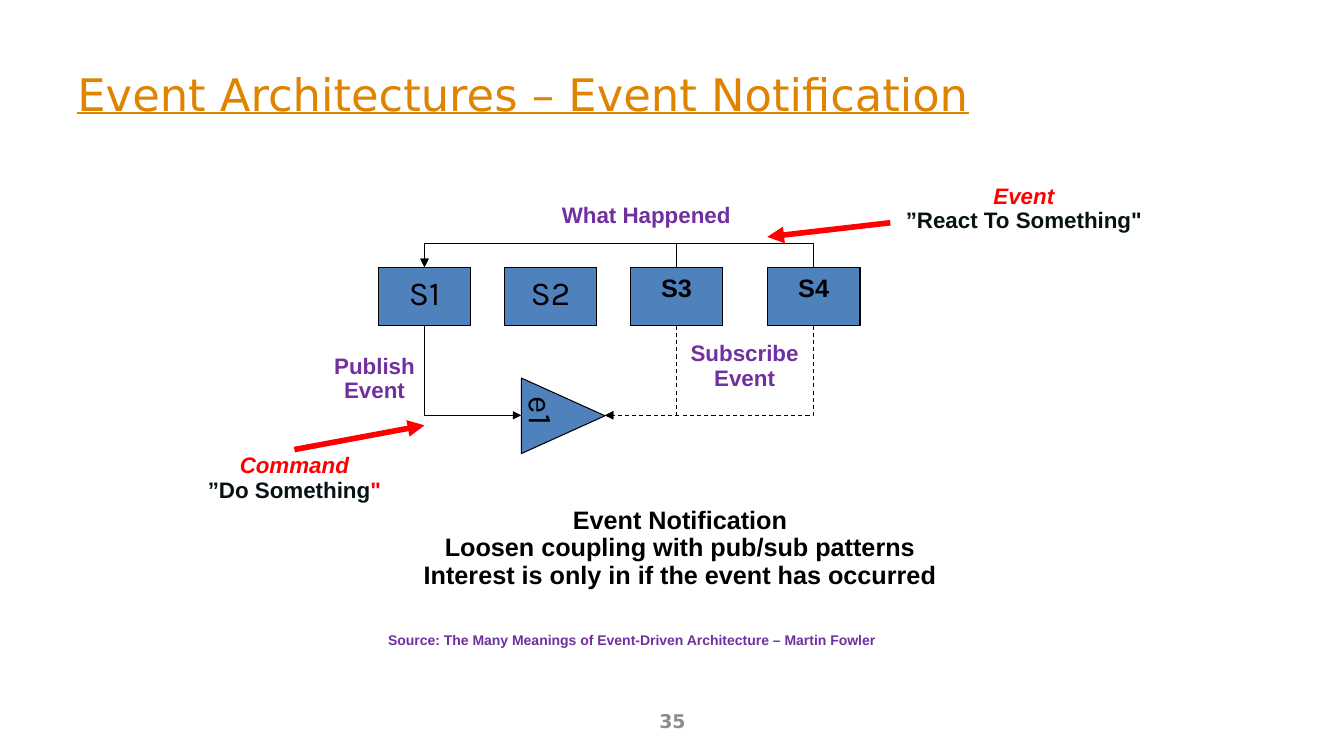
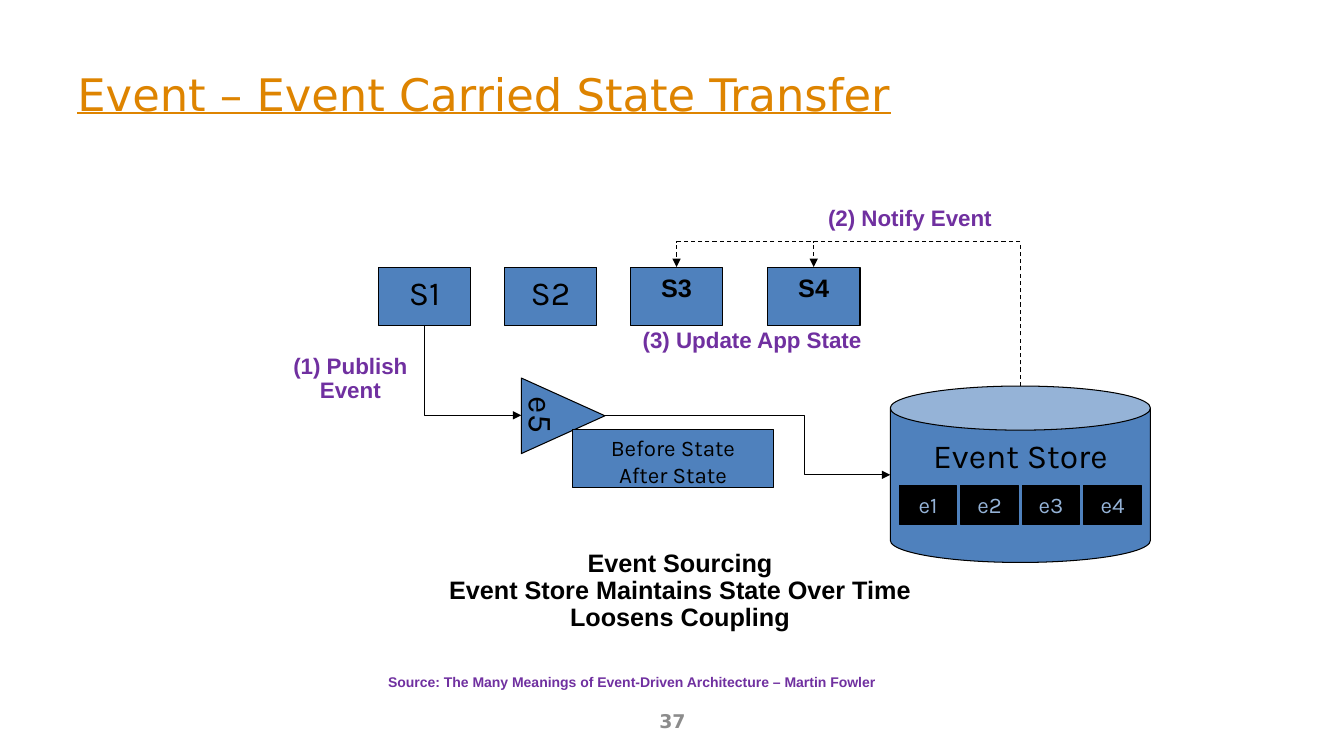
import pptx
import pptx.dml.color
import pptx.enum.dml
import pptx.enum.shapes
import pptx.enum.text
import pptx.oxml
import pptx.oxml.ns
import pptx.util

Inches = pptx.util.Inches
Pt = pptx.util.Pt
RGBColor = pptx.dml.color.RGBColor
Shape = pptx.enum.shapes.MSO_SHAPE
Connector = pptx.enum.shapes.MSO_CONNECTOR
Align = pptx.enum.text.PP_ALIGN
Anchor = pptx.enum.text.MSO_ANCHOR
qn = pptx.oxml.ns.qn

ORANGE = RGBColor(0xDE, 0x84, 0x00)
BLUE = RGBColor(0x4F, 0x81, 0xBD)
PALE_BLUE = RGBColor(0x95, 0xB3, 0xD7)
PURPLE = RGBColor(0x70, 0x30, 0xA0)
RED = RGBColor(0xFF, 0x00, 0x00)
INK = RGBColor(0x07, 0x12, 0x15)
BLACK = RGBColor(0x00, 0x00, 0x00)
GRAY = RGBColor(0x8C, 0x8C, 0x8C)

# Font formats
TITLE = {"name": "DejaVu Sans", "size": Pt(32), "underline": True}
PAGE = {"name": "DejaVu Sans", "size": Pt(13.5), "bold": True}
NODE = {"name": "Karla", "size": Pt(24)}
SMALL_NODE = {"name": "Karla", "size": Pt(16)}
STRONG = {"name": "Arial", "size": Pt(18), "bold": True}
LABEL = {"name": "Arial", "size": Pt(16), "bold": True}
ACCENT = {**LABEL, "italic": True}
CREDIT = {"name": "Arial", "size": Pt(10), "bold": True}

# Diagram positions in inches
SERVICES = {"S1": (3.75, NODE), "S2": (5, NODE),
            "S3": (6.25, STRONG), "S4": (7.61, STRONG)}
SERVICE_WIDTH, SERVICE_HEIGHT, SERVICE_TOP = 0.92, 0.58, 2.65
SERVICE_BOTTOM = SERVICE_TOP + SERVICE_HEIGHT
CENTER = {name: left + SERVICE_WIDTH / 2 for name, (left, _) in SERVICES.items()}
EVENT_LEFT, EVENT_RIGHT, EVENT_Y = 5.17, 6, 4.12

# Elbow routes: preset, rotation in degrees, flip
ROUTES = {
    "down right": ("bentConnector2", 270, "flipH"),
    "down left": ("bentConnector2", 90, None),
    "up over": ("bentConnector3", 270, "flipV"),
    "across": ("bentConnector3", 0, None),
}


def write(frame, lines, align=Align.CENTER, spacing=None):
    """Fill a frame; each line is a list of (text, format, colour) runs."""
    for index, line in enumerate(lines):
        paragraph = frame.paragraphs[0] if index == 0 else frame.add_paragraph()
        paragraph.alignment = align
        paragraph.line_spacing = spacing
        for text, font_format, color in line:
            run = paragraph.add_run()
            run.text = text
            for attribute, value in font_format.items():
                setattr(run.font, attribute, value)
            run.font.color.rgb = color


def add_text(slide, at, lines, align=Align.CENTER, spacing=0.9,
             wrap=False, anchor=Anchor.TOP):
    frame = slide.shapes.add_textbox(*map(Inches, at)).text_frame
    frame.word_wrap = wrap
    frame.vertical_anchor = anchor
    write(frame, lines, align, spacing)


def add_label(slide, at, *texts, font_format=LABEL, color=PURPLE):
    add_text(slide, at, [[(text, font_format, color)] for text in texts])


def add_node(slide, preset, at, *texts, font_format=NODE, color=BLACK, fill=BLUE):
    node = slide.shapes.add_shape(preset, *map(Inches, at))
    node.shadow.inherit = False
    node.fill.solid()
    node.fill.fore_color.rgb = fill
    node.line.color.rgb = BLACK
    node.line.width = Pt(0.75)
    node.text_frame.word_wrap = False
    node.text_frame.vertical_anchor = Anchor.TOP
    write(node.text_frame, [[(text, font_format, color)] for text in texts])
    return node


def add_event(slide, name):
    event = add_node(slide, Shape.ISOSCELES_TRIANGLE, (5.21, 3.71, 0.75, 0.83), name)
    event.rotation = 90
    frame = event.text_frame
    frame.vertical_anchor = Anchor.MIDDLE
    frame.paragraphs[0].alignment = Align.LEFT
    for side in ("left", "top", "right", "bottom"):
        setattr(frame, f"margin_{side}", 0)


def add_arrow(slide, kind, start, end, color=BLACK, width=0.75, dashed=False):
    arrow = slide.shapes.add_connector(kind, *map(Inches, (*start, *end)))
    arrow.line.color.rgb = color
    arrow.line.width = Pt(width)
    if dashed:
        arrow.line.dash_style = pptx.enum.dml.MSO_LINE.DASH
    properties = arrow.element.spPr
    tip = pptx.oxml.parse_xml(
        f'<a:tailEnd {pptx.oxml.ns.nsdecls("a")} type="triangle"/>')
    properties.find(qn("a:ln")).append(tip)
    properties.append(pptx.oxml.parse_xml(
        f'<a:effectLst {pptx.oxml.ns.nsdecls("a")}/>'))
    return arrow


def add_elbow(slide, route, start, end, bend=None, dashed=False):
    """Draw an elbow arrow; bend is the fraction of the way to its turn."""
    preset, rotation, flip = ROUTES[route]
    width, height = abs(end[0] - start[0]), abs(end[1] - start[1])
    if rotation:
        width, height = height, width
    left = (start[0] + end[0] - width) / 2
    top = (start[1] + end[1] - height) / 2
    elbow = add_arrow(slide, Connector.ELBOW, (left, top),
                      (left + width, top + height), dashed=dashed)
    frame = elbow.element.spPr.xfrm
    frame.set("rot", str(rotation * 60000))
    if flip:
        frame.set(flip, "1")
    geometry = elbow.element.spPr.find(qn("a:prstGeom"))
    geometry.set("prst", preset)
    if bend is not None:
        for guides in geometry.findall(qn("a:avLst")):
            geometry.remove(guides)
        geometry.append(pptx.oxml.parse_xml(
            f'<a:avLst {pptx.oxml.ns.nsdecls("a")}>'
            f'<a:gd name="adj1" fmla="val {round(bend * 100000)}"/></a:avLst>'))


def add_up_over(slide, start, end, crest, dashed=False):
    bend = (start[1] - crest) / (start[1] - end[1])
    add_elbow(slide, "up over", start, end, bend, dashed)


def add_base(deck, title, page, event, credit_top):
    """Start a slide with the title, services, published event and footer."""
    slide = deck.slides.add_slide(deck.slide_layouts[6])
    add_text(slide, (0.67, 0.3, 12, 1.25), [[(title, TITLE, ORANGE)]],
             Align.LEFT, None, True, Anchor.MIDDLE)
    add_text(slide, (4.56, 6.95, 4.22, 0.4), [[(page, PAGE, GRAY)]],
             spacing=None, wrap=True, anchor=Anchor.MIDDLE)
    credit = "Source: The Many Meanings of Event-Driven Architecture – Martin Fowler"
    add_text(slide, (3.75, credit_top, 5.58, 0.25), [[(credit, CREDIT, PURPLE)]],
             Align.LEFT, wrap=True)
    for name, (left, font_format) in SERVICES.items():
        add_node(slide, Shape.RECTANGLE,
                 (left, SERVICE_TOP, SERVICE_WIDTH, SERVICE_HEIGHT),
                 name, font_format=font_format)
    add_event(slide, event)
    add_elbow(slide, "down right", (CENTER["S1"], SERVICE_BOTTOM),
              (EVENT_LEFT, EVENT_Y))
    return slide


def add_notification_slide(deck):
    slide = add_base(deck, "Event Architectures – Event Notification", "35", "e1", 6.23)

    # Subscriptions and calls back to the publisher
    for name in ("S3", "S4"):
        add_elbow(slide, "down left", (CENTER[name], SERVICE_BOTTOM),
                  (EVENT_RIGHT, EVENT_Y), dashed=True)
        add_up_over(slide, (CENTER[name], SERVICE_TOP + 0.01),
                    (CENTER["S1"], SERVICE_TOP), 2.41)

    # Labels
    add_label(slide, (3.21, 3.47, 1.01, 0.59), "Publish", "Event")
    add_label(slide, (6.74, 3.35, 1.29, 0.59), "Subscribe", "Event")
    add_label(slide, (5.46, 1.98, 1.9, 0.34), "What Happened")
    add_label(slide, (4.08, 4.99, 5.33, 0.92), "Event Notification",
              "Loosen coupling with pub/sub patterns",
              "Interest is only in if the event has occurred",
              font_format=STRONG, color=BLACK)

    # Red callouts
    add_text(slide, (1.95, 4.46, 1.94, 0.59),
             [[("Command", ACCENT, RED)],
              [("”Do Something", LABEL, INK), ('"', LABEL, RED)]])
    add_text(slide, (8.87, 1.79, 2.57, 0.59),
             [[("Event", ACCENT, RED)], [('”React To Something"', LABEL, INK)]])
    for start, end in (((8.83, 2.21), (7.61, 2.35)), ((2.92, 4.46), (4.21, 4.22))):
        add_arrow(slide, Connector.STRAIGHT, start, end, RED, 4)


def add_state_transfer_slide(deck):
    slide = add_base(deck, "Event – Event Carried State Transfer", "37", "e5", 6.65)

    # Event store and its stored events
    add_node(slide, Shape.CAN, (8.83, 3.83, 2.58, 1.75), "Event Store")
    for index in range(4):
        add_node(slide, Shape.RECTANGLE, (8.92 + 0.61 * index, 4.82, 0.57, 0.38),
                 f"e{index + 1}", font_format=SMALL_NODE, color=PALE_BLUE, fill=BLACK)
    add_node(slide, Shape.RECTANGLE, (5.68, 4.26, 1.99, 0.58),
             "Before State", "After State", font_format=SMALL_NODE)

    # Storing and notifying
    add_elbow(slide, "across", (EVENT_RIGHT, EVENT_Y), (8.83, 4.71), 0.7)
    for name in ("S3", "S4"):
        add_up_over(slide, (10.12, 3.83), (CENTER[name], SERVICE_TOP), 2.4, dashed=True)

    # Labels
    add_label(slide, (2.8, 3.47, 1.35, 0.59), "(1) Publish", "Event")
    add_label(slide, (8.1, 2.01, 1.85, 0.34), "(2) Notify Event")
    add_label(slide, (6.26, 3.22, 2.4, 0.34), "(3) Update App State")
    add_label(slide, (4.33, 5.41, 4.83, 0.92), "Event Sourcing",
              "Event Store Maintains State Over Time", "Loosens Coupling",
              font_format=STRONG, color=BLACK)


def main():
    deck = pptx.Presentation()
    deck.slide_width = Inches(13.33)
    deck.slide_height = Inches(7.5)
    add_notification_slide(deck)
    add_state_transfer_slide(deck)
    deck.save("out.pptx")


if __name__ == "__main__":
    main()
